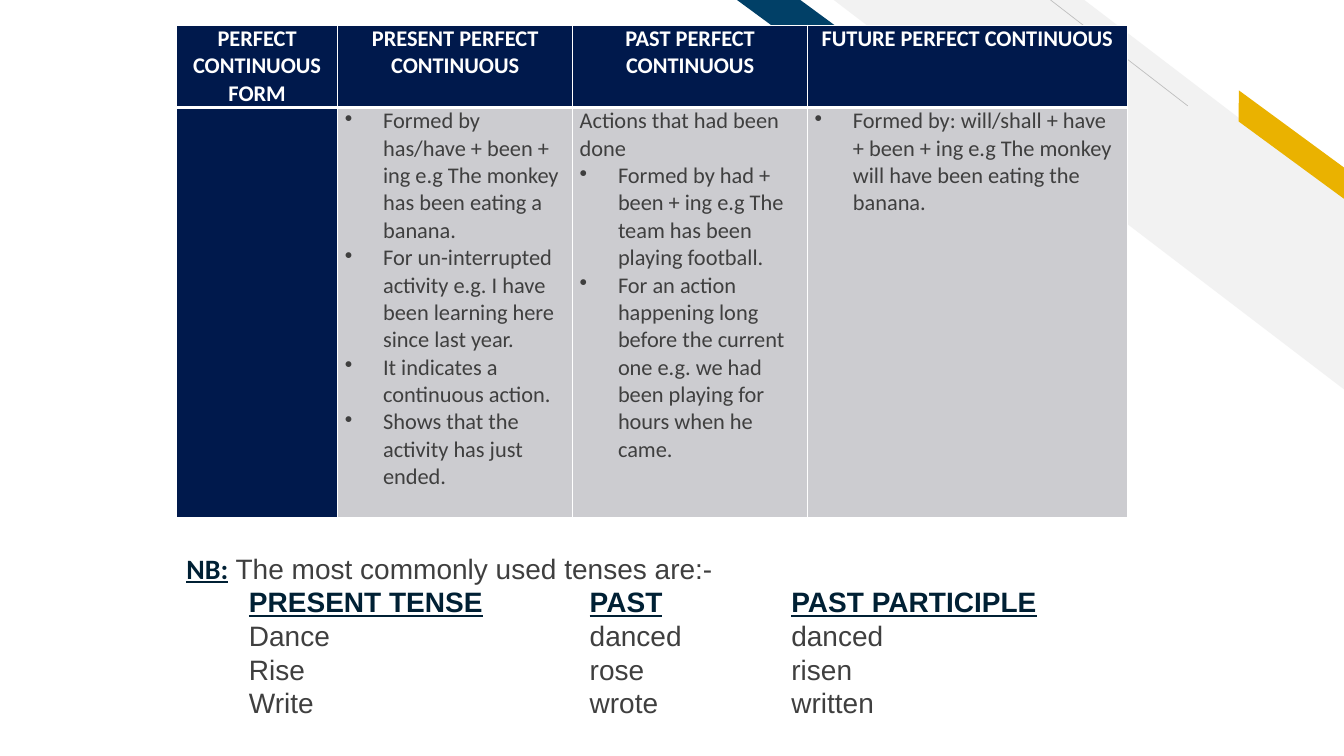
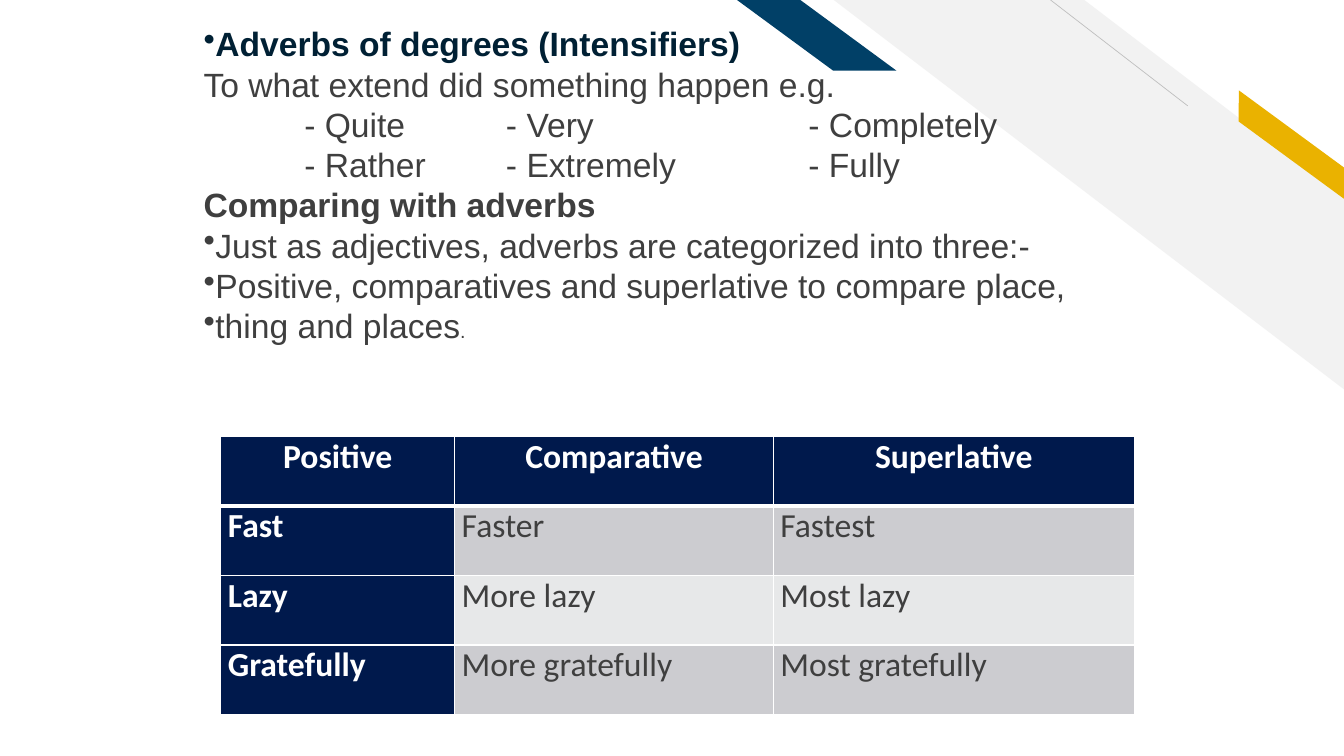
from dataclasses import dataclass
from typing import Optional

from pptx import Presentation
from pptx.dml.color import RGBColor
from pptx.enum.shapes import MSO_CONNECTOR, MSO_SHAPE
from pptx.enum.text import MSO_ANCHOR, PP_ALIGN
from pptx.oxml.ns import qn
from pptx.util import Emu, Pt
from lxml.etree import SubElement

EMU_PER_PX = 9144  # 100 px to the inch
COLORS = {
    "white": "FFFFFF", "navy": "00194C", "text": "3F3F3F", "heading": "002034",
    "stripe": "F2F2F2", "hairline": "BFBFBF", "gold": "EAB200", "teal": "014067",
    "band_dark": "CCCCD0", "band_light": "E7E8E9",
}


@dataclass(frozen=True)
class Box:
    left: int
    top: int
    width: int
    height: int


@dataclass(frozen=True)
class Decoration:
    preset: MSO_SHAPE
    box: Box
    adjustment: float
    color: str
    rotation: float = 0


@dataclass(frozen=True)
class Span:
    text: str
    color: str = "text"
    bold: bool = False
    underline: bool = False
    font: Optional[str] = None
    size: Optional[int] = None


@dataclass(frozen=True)
class Line:
    spans: tuple[Span, ...]
    bullet: bool = False
    tabs: tuple[int, ...] = ()


@dataclass(frozen=True)
class Grid:
    left: int
    top: int
    columns: tuple[int, ...]
    rows: tuple[int, ...]
    size: int
    cells: list[list[list[Line]]]


def px(length: int) -> Emu:
    return Emu(length * EMU_PER_PX)


def place(box: Box) -> tuple[Emu, Emu, Emu, Emu]:
    return px(box.left), px(box.top), px(box.width), px(box.height)


def rgb(name: str) -> RGBColor:
    return RGBColor.from_string(COLORS[name])


def plain(text: str, bullet: bool = False, **style) -> Line:
    return Line((Span(text, **style),), bullet)


def tabbed(texts: list[str], tabs: tuple[int, ...], **style) -> Line:
    """Put each text at its own tab stop; the tabs themselves stay unformatted."""
    return Line(tuple(span for text in texts for span in (Span("\t"), Span(text, **style))), tabs=tabs)


DECORATIONS = [
    Decoration(MSO_SHAPE.DIAGONAL_STRIPE, Box(827, 0, 507, 387), 0.51, "stripe"),
    Decoration(MSO_SHAPE.PARALLELOGRAM, Box(1207, 131, 148, 25), 0.72, "gold", 36.3),
    Decoration(MSO_SHAPE.PARALLELOGRAM, Box(731, 0, 158, 70), 1.36, "teal"),
]

TENSE_TABS = (62, 400, 600)
TENSE_NOTES = [
    Line((
        Span("NB:", "heading", bold=True, underline=True, font="Calibri"),
        Span(" The most commonly used tenses are:-"),
    )),
    tabbed(["PRESENT TENSE", "PAST", "PAST PARTICIPLE"], TENSE_TABS,
           color="heading", bold=True, underline=True),
    *(tabbed(forms, TENSE_TABS) for forms in (
        ["Dance", "danced", "danced"],
        ["Rise", "rose", "risen"],
        ["Write", "wrote", "written"],
    )),
]

PERFECT_TENSES = Grid(
    175, 25, (160, 233, 233, 317), (81, 407), 16,
    [
        [[plain(heading)] for heading in (
            "PERFECT CONTINUOUS FORM", "PRESENT PERFECT CONTINUOUS",
            "PAST PERFECT CONTINUOUS", "FUTURE PERFECT CONTINUOUS",
        )],
        [
            [],
            [plain(rule, bullet=True) for rule in (
                "Formed by has/have + been + ing e.g The monkey has been eating a banana.",
                "For un-interrupted activity e.g. I have been learning here since last year.",
                "It indicates a continuous action.",
                "Shows that the activity has just ended.",
            )],
            [
                plain("Actions that had been done"),
                plain("Formed by had + been + ing e.g The team has been playing football.", bullet=True),
                plain("For an action happening long before the current one e.g. "
                      "we had been playing for hours when he came.", bullet=True),
            ],
            [plain("Formed by: will/shall + have + been + ing e.g "
                   "The monkey will have been eating the banana.", bullet=True)],
        ],
    ],
)

ADVERB_TABS = (100, 300, 600)
ADVERB_NOTES = [
    plain("Adverbs of degrees (Intensifiers)", bullet=True, color="heading", bold=True),
    plain("To what extend did something happen e.g."),
    tabbed(["- Quite", "- Very", "- Completely"], ADVERB_TABS),
    tabbed(["- Rather", "- Extremely", "- Fully"], ADVERB_TABS),
    plain("Comparing with adverbs", bold=True),
    plain("Just as adjectives, adverbs are categorized into three:-", bullet=True),
    plain("Positive, comparatives and superlative to compare place,", bullet=True),
    Line((Span("thing and places"), Span(".", size=14)), bullet=True),
]

ADVERB_FORMS = Grid(
    219, 433, (232, 316, 358), (69,) * 4, 24,
    [[[plain(form)] for form in forms] for forms in (
        ("Positive", "Comparative", "Superlative"),
        ("Fast", "Faster", "Fastest"),
        ("Lazy", "More lazy", "Most lazy"),
        ("Gratefully", "More gratefully", "Most gratefully"),
    )],
)


def add_text(paragraph, text: str, *, size: int, font: str, color: str,
             bold: bool = False, underline: bool = False) -> None:
    run = paragraph.add_run()
    run.text = text
    run.font.size = Pt(size)
    run.font.name = font
    run.font.bold = bold
    run.font.underline = underline
    run.font.color.rgb = rgb(color)


def set_bullet_and_tabs(paragraph, line: Line, hanging: int) -> None:
    properties = paragraph._p.get_or_add_pPr()
    if line.bullet:
        properties.set("marL", str(px(hanging)))
        properties.set("indent", str(px(-hanging)))
        SubElement(properties, qn("a:buChar"), char="•")
    if line.tabs:
        tab_list = SubElement(properties, qn("a:tabLst"))
        for position in line.tabs:
            SubElement(tab_list, qn("a:tab"), pos=str(px(position)), algn="l")


def add_notes(slide, box: Box, lines: list[Line], size: int) -> None:
    frame = slide.shapes.add_textbox(*place(box)).text_frame
    frame.word_wrap = True
    frame.vertical_anchor = MSO_ANCHOR.TOP
    for index, line in enumerate(lines):
        paragraph = frame.add_paragraph() if index else frame.paragraphs[0]
        paragraph.line_spacing = Pt(size * 1.2)
        set_bullet_and_tabs(paragraph, line, hanging=0)
        for span in line.spans:
            add_text(paragraph, span.text, size=span.size or size, font=span.font or "Arial",
                     color=span.color, bold=span.bold, underline=span.underline)


def set_borders(cell, top: int, bottom: int) -> None:
    """Draw white borders; call before the fill, which must follow them in the XML."""
    properties = cell._tc.get_or_add_tcPr()
    for side, width in (("L", 1), ("R", 1), ("T", top), ("B", bottom)):
        border = SubElement(properties, qn(f"a:ln{side}"), w=str(Pt(width)))
        fill = SubElement(border, qn("a:solidFill"))
        SubElement(fill, qn("a:srgbClr"), val=COLORS["white"])


def fill_cell(cell, lines: list[Line], row: int, column: int, size: int) -> None:
    is_label = row == 0 or column == 0
    set_borders(cell, top=3 if row == 1 else 1, bottom=3 if row == 0 else 1)
    cell.fill.solid()
    cell.fill.fore_color.rgb = rgb("navy" if is_label else "band_dark" if row % 2 else "band_light")
    cell.margin_left = cell.margin_right = px(7)
    cell.margin_top = cell.margin_bottom = 0
    for index, line in enumerate(lines):
        paragraph = cell.text_frame.add_paragraph() if index else cell.text_frame.paragraphs[0]
        paragraph.alignment = PP_ALIGN.CENTER if row == 0 else PP_ALIGN.LEFT
        set_bullet_and_tabs(paragraph, line, hanging=38)
        for span in line.spans:
            add_text(paragraph, span.text, size=size, font="Calibri",
                     color="white" if is_label else span.color, bold=is_label)


def add_grid(slide, grid: Grid) -> None:
    box = Box(grid.left, grid.top, sum(grid.columns), sum(grid.rows))
    table = slide.shapes.add_table(len(grid.rows), len(grid.columns), *place(box)).table
    for column, width in zip(table.columns, grid.columns):
        column.width = px(width)
    for row_index, (height, row) in enumerate(zip(grid.rows, grid.cells)):
        table.rows[row_index].height = px(height)
        for column_index, lines in enumerate(row):
            fill_cell(table.cell(row_index, column_index), lines, row_index, column_index, grid.size)


def add_decorations(slide) -> None:
    for decoration in DECORATIONS:
        shape = slide.shapes.add_shape(decoration.preset, *place(decoration.box))
        shape.adjustments[0] = decoration.adjustment
        shape.rotation = decoration.rotation
        shape._element.spPr.get_or_add_xfrm().set("flipH", "1")
        shape.shadow.inherit = False
        shape.fill.solid()
        shape.fill.fore_color.rgb = rgb(decoration.color)
        shape.line.fill.background()
    hairline = slide.shapes.add_connector(MSO_CONNECTOR.STRAIGHT, px(1042), px(0), px(1178), px(105))
    hairline.line.color.rgb = rgb("hairline")
    hairline.line.width = Pt(0.5)
    SubElement(hairline._element.spPr, qn("a:effectLst"))


def add_lesson(presentation, grid: Grid, notes_box: Box, notes: list[Line], notes_size: int) -> None:
    slide = presentation.slides.add_slide(presentation.slide_layouts[6])
    add_decorations(slide)
    add_grid(slide, grid)
    add_notes(slide, notes_box, notes, notes_size)


def main() -> None:
    presentation = Presentation()
    presentation.slide_width, presentation.slide_height = px(1333), px(750)
    add_lesson(presentation, PERFECT_TENSES, Box(175, 542, 975, 178), TENSE_NOTES, 20)
    add_lesson(presentation, ADVERB_FORMS, Box(192, 18, 958, 332), ADVERB_NOTES, 24)
    presentation.save("out.pptx")


if __name__ == "__main__":
    main()
